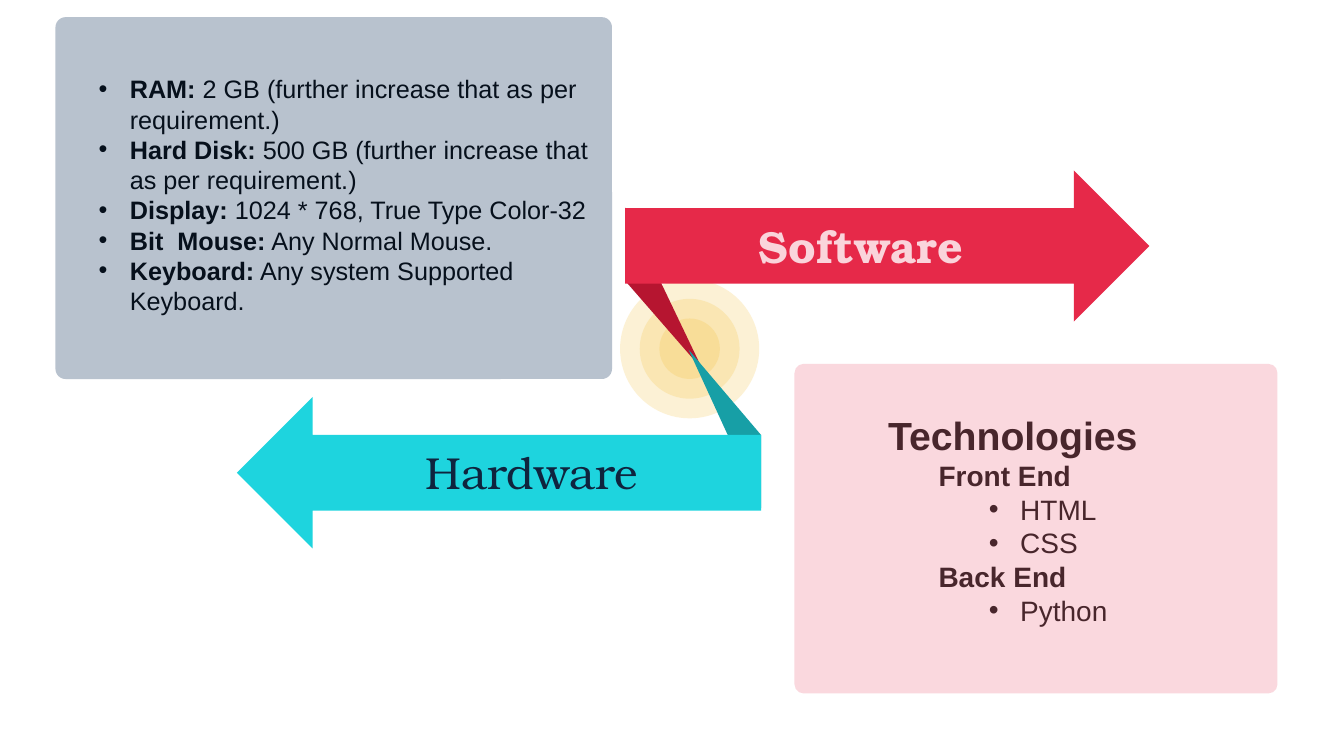
from dataclasses import dataclass

from lxml import etree
from pptx import Presentation
from pptx import util as u
from pptx.dml.color import RGBColor
from pptx.enum import shapes as s, text as t
from pptx.oxml.ns import qn


@dataclass(frozen=True)
class Theme:
    red: str = "E62949"
    dark_red: str = "B61530"
    teal: str = "1ED4DE"
    dark_teal: str = "179FA6"
    gold: str = "F4BD2D"
    navy: str = "17375E"
    pink: str = "F07F92"
    pale: str = "FAD4DB"
    ink: str = "0F243E"
    black: str = "000000"
    sans: str = "Arial"
    serif: str = "TeX Gyre Bonum"
    label: int = 32
    head: int = 28
    item: int = 20
    body: int = 18


THEME = Theme()

# Label and value of each hardware need
NEEDS = [
    ("RAM:", " 2 GB (further increase that as per requirement.)"),
    ("Hard Disk:", " 500 GB (further increase that as per requirement.)"),
    ("Display:", " 1024 * 768, True Type Color-32"),
    ("Bit  Mouse:", " Any Normal Mouse."),
    ("Keyboard:", " Any system Supported Keyboard."),
]
# Level and wording of each technology line
TOOLS = [(1, "Technologies"), (2, "Front End"), (3, "HTML"), (3, "CSS"),
         (2, "Back End"), (3, "Python")]


def paint(shape, color, alpha=100):
    shape.shadow.inherit = False
    shape.fill.solid()
    shape.fill.fore_color.rgb = RGBColor.from_string(color)
    shape.line.fill.background()
    if alpha < 100:
        tone = shape.fill._xPr.find(".//" + qn("a:srgbClr"))
        etree.SubElement(tone, qn("a:alpha"), val=str(alpha * 1000))


def add_form(slide, kind, box, color, alpha=100):
    form = slide.shapes.add_shape(kind, *map(u.Inches, box))
    paint(form, color, alpha)
    return form


def add_frame(slide, box, anchor=t.MSO_ANCHOR.MIDDLE):
    frame = slide.shapes.add_textbox(*map(u.Inches, box)).text_frame
    frame.word_wrap = True
    frame.auto_size = t.MSO_AUTO_SIZE.SHAPE_TO_FIT_TEXT
    frame.vertical_anchor = anchor
    return frame


def style(run, size, bold=False, color=THEME.black, face=THEME.sans):
    run.font.size = u.Pt(size)
    run.font.bold = bold
    run.font.name = face
    run.font.color.rgb = RGBColor.from_string(color)


def indent(para, left, bullet=False):
    props = para._p.get_or_add_pPr()
    props.set("marL", str(u.Inches(left)))
    props.set("indent", str(u.Inches(-0.31 if bullet else 0)))
    if bullet:
        etree.SubElement(props, qn("a:buFont"), typeface=THEME.sans)
        etree.SubElement(props, qn("a:buChar"), char="•")


def next_para(frame, index):
    return frame.add_paragraph() if index else frame.paragraphs[0]


def add_rings(slide, box):
    x, y, size = box
    for step in range(3):
        inset, width = step * 0.195, size - step * 0.39
        add_form(slide, s.MSO_SHAPE.OVAL,
                 (x + inset, y + inset, width, width), THEME.gold, 20)


def add_fold(slide, box, spots, color):
    x, y, width, height = box
    points = [(u.Inches(x + a * width), u.Inches(y + b * height))
              for a, b in spots]
    pen = slide.shapes.build_freeform(*points[0])
    pen.add_line_segments(points[1:], close=True)
    paint(pen.convert_to_shape(), color)


def add_label(slide, box, word, color, bold, anchor):
    para = add_frame(slide, box, anchor).paragraphs[0]
    para.text = word
    para.alignment = t.PP_ALIGN.CENTER
    style(para.runs[0], THEME.label, bold, color, THEME.serif)


def add_panel(slide, box, color):
    panel = add_form(slide, s.MSO_SHAPE.ROUNDED_RECTANGLE, box, color, 30)
    panel.adjustments[0] = 0.028


def add_needs(slide, box):
    x, y, width, height = box
    frame = add_frame(slide, (x + 0.33, y + 0.5, width - 0.36, 2.52))
    for index, pair in enumerate(NEEDS):
        para = next_para(frame, index)
        indent(para, 0.31, True)
        for part, bold in zip(pair, (True, False)):
            run = para.add_run()
            run.text = part
            style(run, THEME.body, bold)
    # The tint lies over the text
    add_panel(slide, box, THEME.navy)


def add_tools(slide, box):
    x, y, width, height = box
    frame = add_frame(slide, (x + 0.33, y + 0.41, width - 1.2, 2.26))
    for index, (level, word) in enumerate(TOOLS):
        para = next_para(frame, index)
        para.text = word
        para.level = level
        indent(para, {1: 0.5, 2: 1, 3: 1.81}[level], level == 3)
        style(para.runs[0], THEME.head if level == 1 else THEME.item,
              level < 3)
    add_panel(slide, box, THEME.pink)


def main():
    deck = Presentation()
    deck.slide_width, deck.slide_height = u.Inches(13.33), u.Inches(7.5)
    slide = deck.slides.add_slide(deck.slide_layouts[6])

    # Glow behind the ribbon
    add_rings(slide, (6.15, 2.77, 1.38))

    # Ribbon: each fold lies behind its arrow
    add_fold(slide, (6.2, 2.06, 0.77, 1.61), [(0, 0), (1, 1), (0, 0.45)],
             THEME.dark_red)
    add_form(slide, s.MSO_SHAPE.RIGHT_ARROW, (6.2, 1.69, 5.2, 1.5), THEME.red)
    add_fold(slide, (6.83, 3.47, 0.72, 1.57), [(1, 1), (0, 0), (1, 0.54)],
             THEME.dark_teal)
    add_form(slide, s.MSO_SHAPE.LEFT_ARROW, (2.35, 3.94, 5.2, 1.5), THEME.teal)

    # Arrow labels
    add_label(slide, (7.13, 2.12, 2.82, 0.64), "Software", THEME.pale, True,
              t.MSO_ANCHOR.MIDDLE)
    add_label(slide, (3.35, 4.36, 3.85, 0.64), "Hardware", THEME.ink, False,
              t.MSO_ANCHOR.TOP)

    # Detail panels
    add_needs(slide, (0.55, 0.17, 5.52, 3.59))
    add_tools(slide, (7.88, 3.61, 4.79, 3.27))

    deck.save("out.pptx")


if __name__ == "__main__":
    main()
